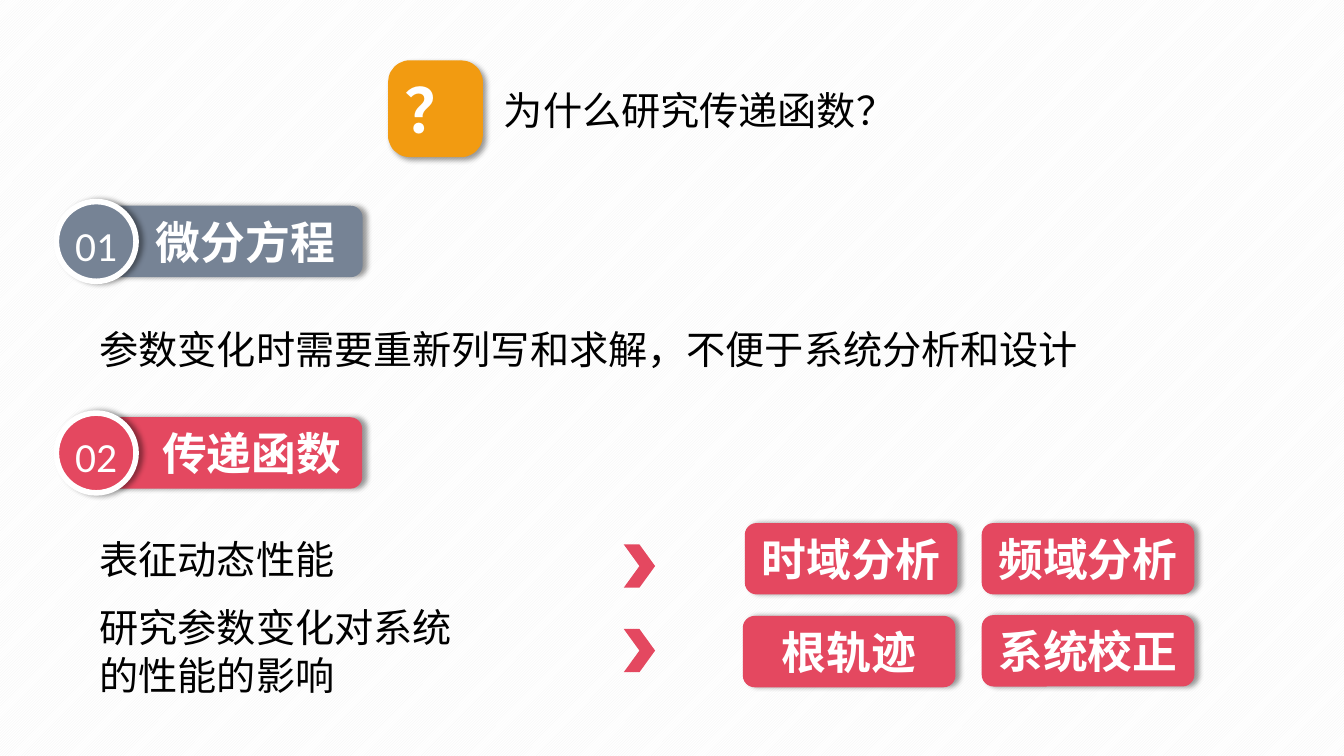
from lxml.etree import SubElement
from pptx import Presentation
from pptx.dml.color import RGBColor
from pptx.enum.dml import MSO_PATTERN
from pptx.enum.shapes import MSO_SHAPE
from pptx.enum.text import MSO_ANCHOR, MSO_AUTO_SIZE, PP_ALIGN
from pptx.oxml.ns import qn
from pptx.util import Cm, Pt

# Content; lengths in centimetres
COLORS = {"slate": "768395", "red": "E44860", "orange": "F29B11",
          "white": "FFFFFF", "black": "000000", "stripe": "F2F2F2"}
LATIN, CHINESE = "Calibri", "Noto Sans CJK SC"

QUESTION = "为什么研究传递函数？"
SECTIONS = [  # number, title, colour, circle top, bar left, bar width
    ("01", "微分方程", "slate", 5.08, 2.59, 6.55),
    ("02", "传递函数", "red", 10.41, 2.75, 6.38),
]
STATEMENTS = [  # text, top, width, height
    ("参数变化时需要重新列写和求解，不便于系统分析和设计", 8.08, 27.13, 1.45),
    ("表征动态性能", 13.36, 9.68, 1.45),
    ("研究参数变化对系统的性能的影响", 15.09, 9.68, 2.64),
]
METHODS = [  # text, left, top
    ("时域分析", 18.77, 13.18), ("频域分析", 24.74, 13.18),
    ("根轨迹", 18.72, 15.52), ("系统校正", 24.74, 15.5),
]
CHEVRON_TOPS = [13.72, 15.85]
BAR_HEIGHT, CIRCLE_SIZE, CIRCLE_LEFT = 1.8, 2.01, 1.42
STATEMENT_LEFT, METHOD_WIDTH = 2.26, 5.36


def color(name):
    return RGBColor.from_string(COLORS[name])


def add_shadow(shape, angle):
    effects = shape._element.spPr.find(qn("a:effectLst"))
    shadow = SubElement(effects, qn("a:outerShdw"), blurRad=str(Pt(4)),
                        dist=str(Pt(3)), dir=str(angle * 60000),
                        algn="l", rotWithShape="0")
    black = SubElement(shadow, qn("a:srgbClr"), val=COLORS["black"])
    SubElement(black, qn("a:alpha"), val="40000")


def add_shape(kind, left, top, width, height, fill, shadow_angle=None):
    shape = slide.shapes.add_shape(kind, Cm(left), Cm(top), Cm(width), Cm(height))
    shape.fill.solid()
    shape.fill.fore_color.rgb = color(fill)
    shape.line.fill.background()
    shape.shadow.inherit = False
    if shadow_angle is not None:
        add_shadow(shape, shadow_angle)
    return shape


def write(shape, text, size=32, ink="white", bold=False, font=LATIN, indent=0,
          align=PP_ALIGN.LEFT, anchor=MSO_ANCHOR.MIDDLE, wrap=True, grow=True):
    frame = shape.text_frame
    frame.word_wrap = wrap
    frame.vertical_anchor = anchor
    frame.auto_size = MSO_AUTO_SIZE.SHAPE_TO_FIT_TEXT if grow else MSO_AUTO_SIZE.NONE
    paragraph = frame.paragraphs[0]
    paragraph.alignment = align
    if indent:
        paragraph._p.get_or_add_pPr().set("marL", str(Cm(indent)))
    run = paragraph.add_run()
    run.text = text
    run.font.size = Pt(size)
    run.font.bold = bold
    run.font.name = font
    run.font.color.rgb = color(ink)
    SubElement(run._r.get_or_add_rPr(), qn("a:ea"), typeface=CHINESE)


def add_text(text, left, top, width, height, font=LATIN):
    box = slide.shapes.add_textbox(Cm(left), Cm(top), Cm(width), Cm(height))
    write(box, text, size=28, ink="black", font=font, anchor=MSO_ANCHOR.TOP)


presentation = Presentation()
presentation.slide_width, presentation.slide_height = Cm(33.87), Cm(19.05)
slide = presentation.slides.add_slide(presentation.slide_layouts[6])

# Striped background
background = slide.background.fill
background.patterned()
background.pattern = MSO_PATTERN.LIGHT_UPWARD_DIAGONAL
background.fore_color.rgb = color("stripe")
background.back_color.rgb = color("white")

# Numbered section headings
for number, title, fill, top, bar_left, bar_width in SECTIONS:
    bar_top = top + (CIRCLE_SIZE - BAR_HEIGHT) / 2
    bar = add_shape(MSO_SHAPE.ROUNDED_RECTANGLE, bar_left, bar_top,
                    bar_width, BAR_HEIGHT, fill, shadow_angle=0)
    write(bar, title, bold=True, indent=1)
    circle = add_shape(MSO_SHAPE.OVAL, CIRCLE_LEFT, top, CIRCLE_SIZE,
                       CIRCLE_SIZE, fill, shadow_angle=0)
    circle.line.color.rgb = color("white")
    circle.line.width = Pt(4)
    frame = circle.text_frame
    frame.margin_left = frame.margin_right = frame.margin_top = frame.margin_bottom = 0
    write(circle, number, size=29.6, align=PP_ALIGN.CENTER,
          anchor=MSO_ANCHOR.BOTTOM, wrap=False, grow=False)

# Opening question
badge = add_shape(MSO_SHAPE.ROUNDED_RECTANGLE, 9.78, 1.52, 2.39, 2.44,
                  "orange", shadow_angle=45)
badge.adjustments[0] = 0.23
write(badge, "？", size=44, bold=True, anchor=MSO_ANCHOR.TOP)
add_text(QUESTION, 12.45, 2.06, 12.55, 1.45, font=CHINESE)

# Statements
for text, top, width, height in STATEMENTS:
    add_text(text, STATEMENT_LEFT, top, width, height)

# Analysis methods and the chevrons leading to them
for text, left, top in METHODS:
    method = add_shape(MSO_SHAPE.ROUNDED_RECTANGLE, left, top, METHOD_WIDTH,
                       BAR_HEIGHT, "red", shadow_angle=0)
    write(method, text, bold=True, align=PP_ALIGN.CENTER)
for top in CHEVRON_TOPS:
    add_shape(MSO_SHAPE.CHEVRON, 15.72, top, 0.79, 1.09, "red")

presentation.save("out.pptx")
